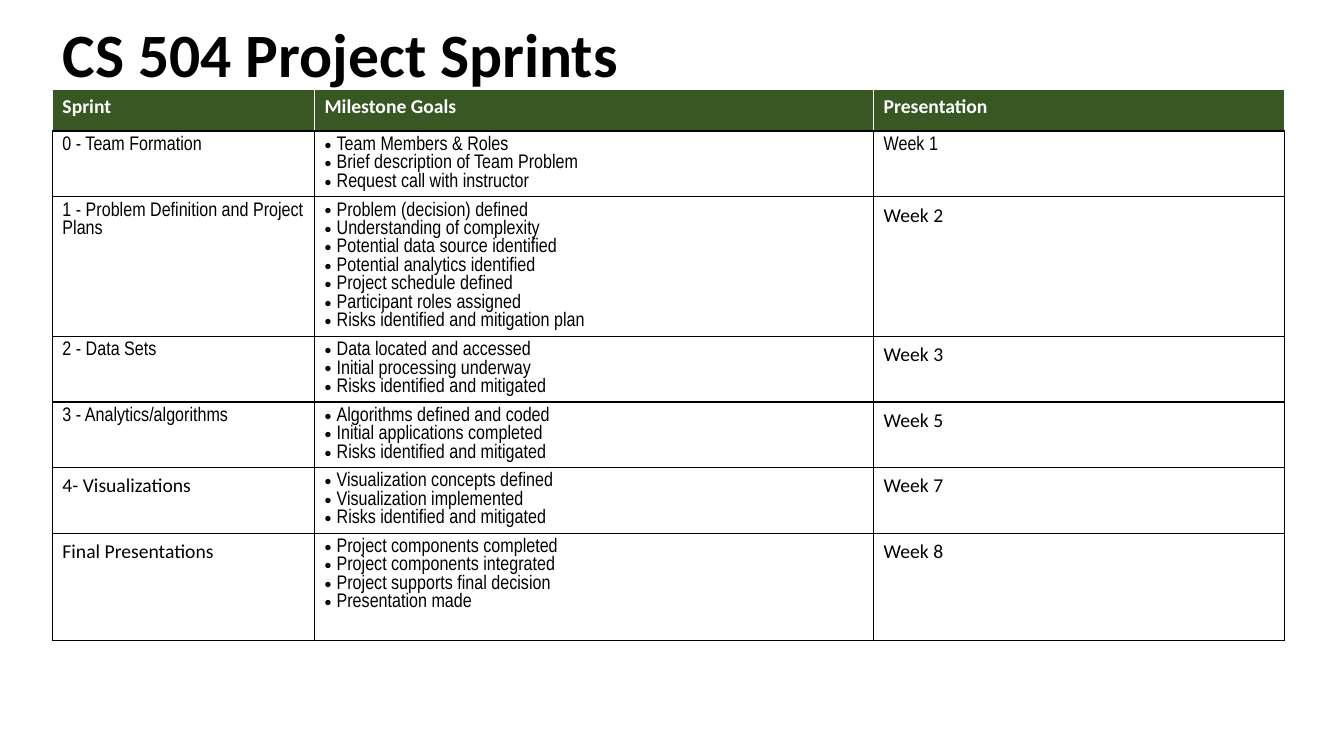
from dataclasses import dataclass

from lxml import etree
from pptx import Presentation
from pptx.dml.color import RGBColor
from pptx.enum.text import MSO_ANCHOR, MSO_AUTO_SIZE, PP_ALIGN
from pptx.oxml.ns import qn
from pptx.util import Inches, Pt

LEFT = PP_ALIGN.LEFT
TOP = MSO_ANCHOR.TOP
MIDDLE = MSO_ANCHOR.MIDDLE
NO_AUTOFIT = MSO_AUTO_SIZE.NONE


@dataclass(frozen=True)
class Theme:
    ink: str = "000000"
    paper: str = "FFFFFF"
    header: str = "385723"
    plain_font: str = "Calibri"
    narrow_font: str = "Arial Narrow"
    title_size: int = 44
    body_size: int = 14
    border_width: int = 1
    title_spacing: float = 0.9
    plain_spacing: float = 1.07
    bullet_indent: float = 0.12


THEME = Theme()
PLAIN = {"font": THEME.plain_font, "spacing": THEME.plain_spacing}
NARROW = {"font": THEME.narrow_font}
BULLET = {"font": THEME.narrow_font, "bullet": True}
HEADING = {"font": THEME.plain_font, "color": THEME.paper, "bold": True}

TABLE_LEFT, TABLE_TOP = 3.9, 11.87
COLUMN_SHARES = (19.5, 41.6, 30.6)
HEADER_SHARE = 5.47
LINE_SHARE, PADDING_SHARE, CLOSING_SHARE = 2.45, 1.33, 3.1

HEADINGS = ("Sprint", "Milestone Goals", "Presentation")
SPRINTS = (
    ("0 - Team Formation", NARROW, "Week 1", NARROW,
     ("Team Members & Roles", "Brief description of Team Problem",
      "Request call with instructor")),
    ("1 - Problem Definition and Project Plans", NARROW, "Week 2", PLAIN,
     ("Problem (decision) defined", "Understanding of complexity",
      "Potential data source identified", "Potential analytics identified",
      "Project schedule defined", "Participant roles assigned",
      "Risks identified and mitigation plan")),
    ("2 - Data Sets", NARROW, "Week 3", PLAIN,
     ("Data located and accessed", "Initial processing underway",
      "Risks identified and mitigated")),
    ("3 - Analytics/algorithms", NARROW, "Week 5", PLAIN,
     ("Algorithms defined and coded", "Initial applications completed",
      "Risks identified and mitigated")),
    ("4- Visualizations", PLAIN, "Week 7", PLAIN,
     ("Visualization concepts defined", "Visualization implemented",
      "Risks identified and mitigated")),
    ("Final Presentations", PLAIN, "Week 8", PLAIN,
     ("Project components completed", "Project components integrated",
      "Project supports final decision", "Presentation made")),
)


def apply(target, values):
    for attribute, value in values.items():
        setattr(target, attribute, value)


class SlideBuilder:
    def __init__(self, deck, theme):
        self.theme = theme
        self.width, self.height = deck.slide_width, deck.slide_height
        self.slide = deck.slides.add_slide(deck.slide_layouts[5])

    def across(self, percent):
        return round(self.width * percent / 100)

    def down(self, percent):
        return round(self.height * percent / 100)

    def line(self, paragraph, wording, font, size=None, color=None,
             bold=False, spacing=None, bullet=False):
        apply(paragraph, {"alignment": LEFT, "line_spacing": spacing})
        run = paragraph.add_run()
        run.text = wording
        apply(run.font, {"name": font, "bold": bold,
                         "size": Pt(size or self.theme.body_size)})
        run.font.color.rgb = RGBColor.from_string(color or self.theme.ink)
        if bullet:
            indent = Inches(self.theme.bullet_indent)
            properties = paragraph._p.get_or_add_pPr()
            properties.set("marL", str(indent))
            properties.set("indent", str(-indent))
            etree.SubElement(properties, qn("a:buFont"), typeface="Arial")
            etree.SubElement(properties, qn("a:buChar"), char="•")

    def title(self, wording, left, top, width, height):
        heading = self.slide.shapes.title
        apply(heading, {"left": self.across(left), "top": self.down(top),
                        "width": self.across(width),
                        "height": self.down(height)})
        apply(heading.text_frame, {"vertical_anchor": MIDDLE,
                                   "word_wrap": True,
                                   "auto_size": NO_AUTOFIT})
        self.line(heading.text_frame.paragraphs[0], wording,
                  self.theme.plain_font, size=self.theme.title_size,
                  bold=True, spacing=self.theme.title_spacing)

    def table(self, left, top, columns, rows):
        frame = self.slide.shapes.add_table(
            len(rows), len(columns), self.across(left), self.down(top),
            self.across(sum(columns)), self.down(sum(rows)))
        grid = frame.table
        apply(grid, {"first_row": False, "horz_banding": False})
        for column, share in zip(grid.columns, columns):
            column.width = self.across(share)
        for row, share in zip(grid.rows, rows):
            row.height = self.down(share)
        self.slide.shapes._spTree.append(self.slide.shapes.title._element)
        return grid

    def cell(self, cell, lines, style, fill, edge):
        cell.vertical_anchor = TOP
        cell.fill.solid()
        cell.fill.fore_color.rgb = RGBColor.from_string(fill)
        frame = cell.text_frame
        for index, wording in enumerate(lines):
            paragraph = frame.add_paragraph() if index else frame.paragraphs[0]
            self.line(paragraph, wording, **style)
        edges = {"lnL": edge, "lnR": edge, "lnT": edge, "lnB": self.theme.ink}
        properties = cell._tc.get_or_add_tcPr()
        for index, (side, color) in enumerate(edges.items()):
            border = etree.Element(qn("a:" + side),
                                   w=str(Pt(self.theme.border_width)))
            solid = etree.SubElement(border, qn("a:solidFill"))
            etree.SubElement(solid, qn("a:srgbClr"), val=color)
            properties.insert(index, border)


def main():
    deck = Presentation()
    apply(deck, {"slide_width": Inches(13.33), "slide_height": Inches(7.5)})
    builder = SlideBuilder(deck, THEME)
    builder.title("CS 504 Project Sprints", TABLE_LEFT, -2, 86.27, 19.33)

    sprint_shares = [PADDING_SHARE + LINE_SHARE * len(goals)
                     for *_, goals in SPRINTS]
    sprint_shares[-1] += CLOSING_SHARE
    schedule = builder.table(TABLE_LEFT, TABLE_TOP, COLUMN_SHARES,
                             [HEADER_SHARE, *sprint_shares])
    for column, heading in enumerate(HEADINGS):
        builder.cell(schedule.cell(0, column), [heading], HEADING,
                     THEME.header, THEME.paper)
    for row, (sprint, sprint_style, week, week_style, goals) in enumerate(
            SPRINTS, start=1):
        contents = (([sprint], sprint_style), (goals, BULLET),
                    ([week], week_style))
        for column, (lines, style) in enumerate(contents):
            builder.cell(schedule.cell(row, column), lines, style,
                         THEME.paper, THEME.ink)
    deck.save("out.pptx")


if __name__ == "__main__":
    main()
